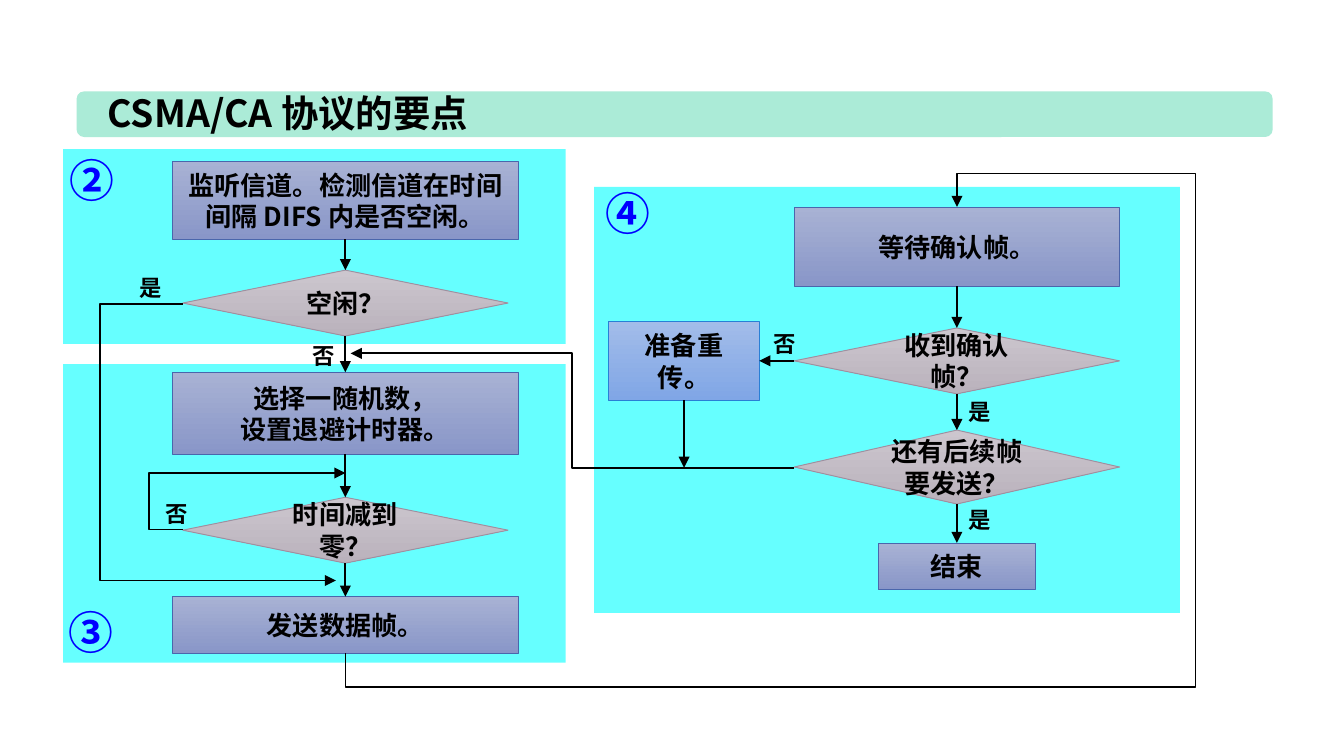
from lxml import etree
from pptx import Presentation
from pptx.dml.color import RGBColor
from pptx.enum import shapes, text
from pptx.oxml import ns
from pptx.util import Inches, Pt

FONT = "Noto Sans CJK SC"
BLACK = RGBColor(0x00, 0x00, 0x00)
BLUE = RGBColor(0x00, 0x00, 0xFF)
MINT = RGBColor(0xAB, 0xEB, 0xD7)
CYAN = RGBColor(0x66, 0xFF, 0xFF)
# Each palette: gradient top, gradient bottom, outline
INDIGO = (RGBColor(0xA8, 0xB2, 0xD4), RGBColor(0x89, 0x96, 0xC8), RGBColor(0x4A, 0x66, 0xAC))
MAUVE = (RGBColor(0xCC, 0xC6, 0xCE), RGBColor(0xBA, 0xB2, 0xBC), RGBColor(0x9D, 0x90, 0xA0))
SKY = (RGBColor(0xA2, 0xBC, 0xE9), RGBColor(0x80, 0xA6, 0xE6), RGBColor(0x29, 0x7F, 0xD5))

RECTANGLE = shapes.MSO_SHAPE.RECTANGLE
DIAMOND = shapes.MSO_SHAPE.DIAMOND
TOP, LEFT, BOTTOM, RIGHT = range(4)


def write(frame, wording, size, color=BLACK, align=text.PP_ALIGN.LEFT):
    for index, line in enumerate(wording.split("\n")):
        para = frame.add_paragraph() if index else frame.paragraphs[0]
        para.alignment = align
        # Closing punctuation stays inside the box and wraps with its word
        para._p.get_or_add_pPr().set("hangingPunct", "0")
        span = para.add_run()
        span.text = line
        span.font.name = FONT
        span.font.size = Pt(size)
        span.font.bold = True
        span.font.color.rgb = color
        latin = span.font._element.find(ns.qn("a:latin"))
        latin.addnext(etree.Element(ns.qn("a:ea"), typeface=FONT))


def add_panel(page, left, top, width, height, color=CYAN, kind=RECTANGLE):
    panel = page.shapes.add_shape(
        kind, Inches(left), Inches(top), Inches(width), Inches(height))
    panel.shadow.inherit = False
    panel.fill.solid()
    panel.fill.fore_color.rgb = color
    panel.line.fill.background()
    return panel


def add_label(page, left, top, wording, size=12, color=BLACK):
    width, height = (0.5, 0.5) if size > 12 else (0.37, 0.3)
    box = page.shapes.add_textbox(
        Inches(left), Inches(top), Inches(width), Inches(height))
    box.text_frame.word_wrap = False
    write(box.text_frame, wording, size, color)


def add_step(page, center, top, width, height, wording, kind=RECTANGLE, palette=INDIGO):
    step = page.shapes.add_shape(
        kind, Inches(center - width / 2), Inches(top), Inches(width), Inches(height))
    step.shadow.inherit = False
    step.fill.gradient()
    step.fill.gradient_angle = 270
    for stop, color in zip(step.fill.gradient_stops, palette):
        stop.color.rgb = color
    step.line.color.rgb = palette[2]
    step.line.width = Pt(0.5)
    step.text_frame.vertical_anchor = text.MSO_ANCHOR.MIDDLE
    step.text_frame.word_wrap = True
    write(step.text_frame, wording, 14, align=text.PP_ALIGN.CENTER)
    return step


def add_arrow(page, start, end, kind=shapes.MSO_CONNECTOR.STRAIGHT):
    arrow = page.shapes.add_connector(kind, *(Inches(value) for value in (*start, *end)))
    arrow.line.color.rgb = BLACK
    arrow.line.width = Pt(1)
    outline = arrow.element.xpath(".//a:ln")[0]
    etree.SubElement(outline, ns.qn("a:tailEnd"), type="triangle")
    etree.SubElement(arrow.element.spPr, ns.qn("a:effectLst"))
    return arrow


def join(page, first, second, start=BOTTOM, end=TOP):
    arrow = add_arrow(page, (0, 0), (1, 1))
    arrow.begin_connect(first, start)
    arrow.end_connect(second, end)


def add_elbow(page, start, end, bends, turned=False):
    """Bent arrow; bends are fractions of its box, turned makes it leave vertically."""
    if turned:
        middle_x, middle_y = (start[0] + end[0]) / 2, (start[1] + end[1]) / 2
        half_x, half_y = (end[0] - start[0]) / 2, (end[1] - start[1]) / 2
        start = (middle_x - half_y, middle_y + half_x)
        end = (middle_x + half_y, middle_y - half_x)
    arrow = add_arrow(page, start, end, shapes.MSO_CONNECTOR.ELBOW)
    if turned:
        arrow.element.spPr.find(ns.qn("a:xfrm")).set("rot", str(90 * 60000))
    geometry = arrow.element.xpath(".//a:prstGeom")[0]
    geometry.set("prst", f"bentConnector{len(bends) + 2}")
    guides = geometry.find(ns.qn("a:avLst"))
    for number, bend in enumerate(bends, 1):
        etree.SubElement(guides, ns.qn("a:gd"), name=f"adj{number}",
                         fmla=f"val {round(bend * 100000)}")


def add_heading(page, left, top, width, height):
    bar = add_panel(page, left, top, width, height, MINT, shapes.MSO_SHAPE.ROUNDED_RECTANGLE)
    title = page.shapes.title
    title.left, title.top = Inches(left + 0.13), Inches(top - 0.06)
    title.width, title.height = Inches(3.08), Inches(0.44)
    title.text_frame.auto_size = text.MSO_AUTO_SIZE.NONE
    title.text_frame.word_wrap = False
    title.text_frame.vertical_anchor = text.MSO_ANCHOR.MIDDLE
    write(title.text_frame, "CSMA/CA 协议的要点", 20)
    bar.element.addnext(title.element)


def add_sending(page, left, top, width):
    """Panels 2 and 3: sense the channel, back off, send."""
    add_panel(page, left, top + 1.6, width, 2.22)
    add_panel(page, left, top, width, 1.45)
    add_label(page, left - 0.05, top - 0.02, "②", 24, BLUE)
    add_label(page, left - 0.06, top + 3.34, "③", 24, BLUE)
    center = left + 2.1
    side = center - 1.21
    listen = add_step(page, center, top + 0.09, 2.58, 0.58,
                      "监听信道。检测信道在时间间隔 DIFS 内是否空闲。")
    idle = add_step(page, center, top + 0.9, 2.42, 0.49, "空闲？", DIAMOND, MAUVE)
    backoff = add_step(page, center, top + 1.66, 2.58, 0.61, "选择一随机数，\n设置退避计时器。")
    expired = add_step(page, center, top + 2.59, 2.42, 0.49, "时间减到零？", DIAMOND, MAUVE)
    send = add_step(page, center, top + 3.33, 2.58, 0.42, "发送数据帧。")
    chain = [listen, idle, backoff, expired, send]
    for first, second in zip(chain, chain[1:]):
        join(page, first, second)
    add_elbow(page, (side, top + 2.83), (center, top + 2.41), [-0.21])
    add_elbow(page, (side, top + 1.15), (center - 0.07, top + 3.21), [-0.54, 1])
    for x, y, answer in [(0.47, 0.88, "是"), (0.66, 2.56, "否"), (1.76, 1.39, "否")]:
        add_label(page, left + x, top + y, answer)


def add_acknowledgement(page, left, top, width, height):
    """Panel 4: wait for the acknowledgement, then resend, go on or stop."""
    add_panel(page, left, top, width, height)
    add_label(page, left - 0.01, top - 0.06, "④", 24, BLUE)
    center = left + 2.7
    wait = add_step(page, center, top + 0.15, 2.42, 0.59, "等待确认帧。")
    received = add_step(page, center, top + 1.05, 2.42, 0.49, "收到确认帧？", DIAMOND, MAUVE)
    more = add_step(page, center, top + 1.81, 2.42, 0.55, "还有后续帧要发送？", DIAMOND, MAUVE)
    finish = add_step(page, center, top + 2.65, 1.17, 0.35, "结束")
    resend = add_step(page, left + 0.67, top + 1, 1.12, 0.59, "准备重传。", palette=SKY)
    chain = [wait, received, more, finish]
    for first, second in zip(chain, chain[1:]):
        join(page, first, second)
    join(page, received, resend, LEFT, RIGHT)
    merge = add_arrow(page, (left + 0.67, top + 1.59), (left + 0.67, top + 2.09))
    merge.begin_connect(resend, BOTTOM)
    for x, y, answer in [(2.69, 1.52, "是"), (2.69, 2.33, "是"), (1.24, 1.02, "否")]:
        add_label(page, left + x, top + y, answer)


def main():
    deck = Presentation()
    deck.slide_width = Inches(10)
    deck.slide_height = deck.slide_width * 9 // 16
    page = deck.slides.add_slide(deck.slide_layouts[5])
    add_heading(page, 0.57, 0.68, 8.9, 0.34)
    add_acknowledgement(page, 4.42, 1.39, 4.36, 3.17)
    add_sending(page, 0.47, 1.11, 3.74)
    margin = 0.25 / 3.32
    add_elbow(page, (2.57, 4.86), (7.12, 1.54), [-margin, 1.39, 1 + margin], turned=True)
    add_elbow(page, (5.91, 3.48), (2.61, 2.63), [0.5])
    deck.save("out.pptx")


if __name__ == "__main__":
    main()
